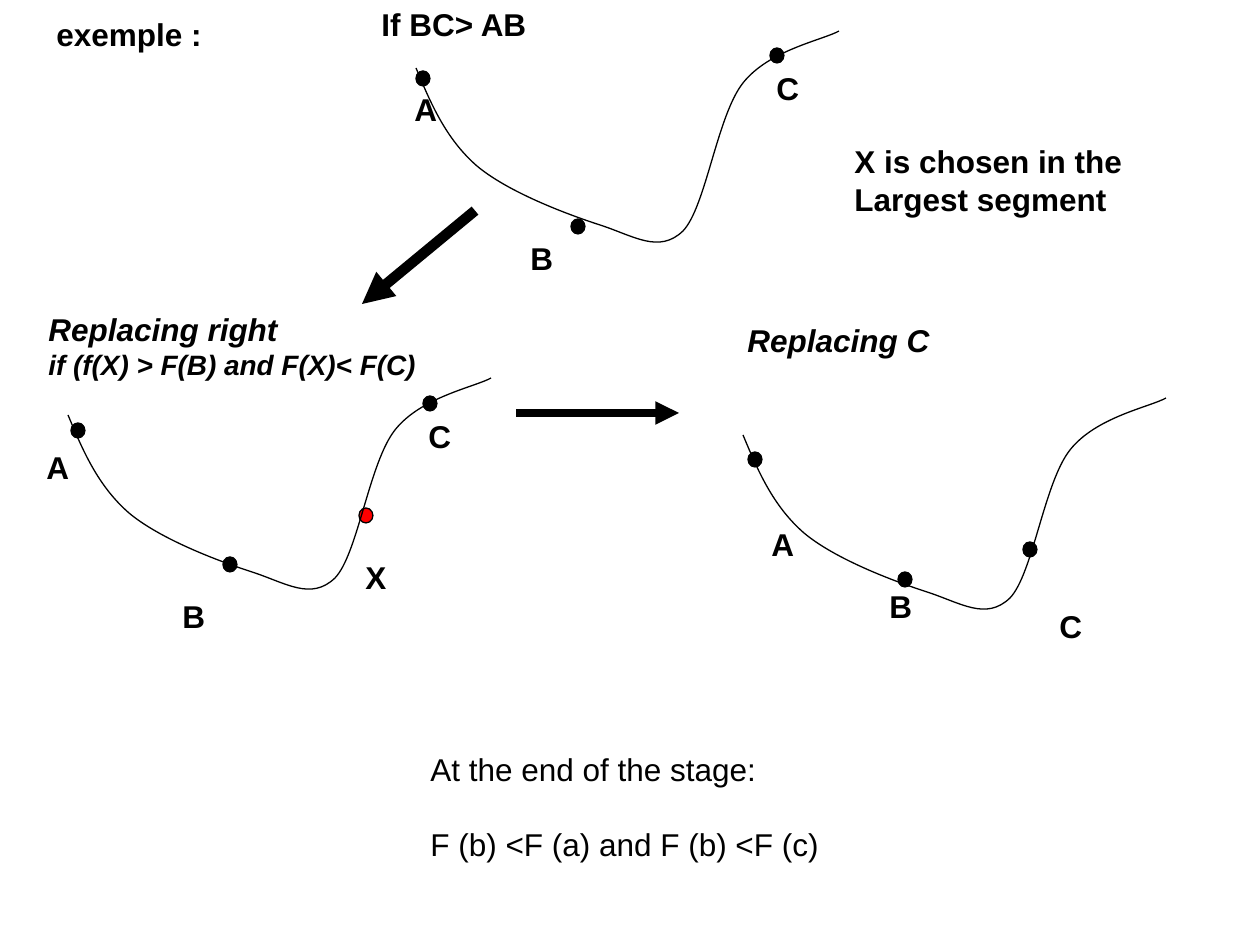
from lxml.etree import SubElement as Sub
from pptx import Presentation
from pptx.dml.color import RGBColor
from pptx.enum.shapes import MSO_CONNECTOR as Link, MSO_SHAPE as Kind
from pptx.enum.text import MSO_AUTO_SIZE as Fit
from pptx.oxml.ns import qn
from pptx.util import Emu, Pt

CURVE = [(0, 37), (15, 73), (30, 108), (61, 135), (92, 161), (150, 183),
         (184, 194), (218, 205), (243, 223), (267, 200), (290, 176),
         (301, 85), (327, 52), (353, 19), (407, 9), (423, 0)]

STAGES = [
    ((416, 31),
     [(416, 71), (571, 219), (770, 48)],
     [("A", 402, 84), ("B", 518, 233), ("C", 764, 63)]),
    ((68, 378),
     [(71, 423), (223, 557), (423, 396)],
     [("A", 34, 442), ("B", 170, 591), ("X", 353, 552), ("C", 416, 411)]),
    ((743, 398),
     [(748, 452), (898, 572), (1023, 542)],
     [("A", 759, 519), ("B", 877, 581), ("C", 1047, 601)]),
]


def px(n):
    """Turn px into EMU."""
    return Emu(round(n * 914400 / 126))


def color(code):
    """Turn a hex string into a colour."""
    return RGBColor.from_string(code)


def text(slide, words, x, y, w, h=51, bold=True, italic=False):
    """Add unwrapped text and return its frame."""
    frame = slide.shapes.add_textbox(px(x), px(y), px(w), px(h)).text_frame
    frame.text = words
    frame.word_wrap = False
    frame.auto_size = Fit.SHAPE_TO_FIT_TEXT
    for para in frame.paragraphs:
        for run in para.runs:
            font = run.font
            font.name, font.size = "Arial", Pt(18)
            font.bold, font.italic = bold, italic
            font.color.rgb = color("000000")
    return frame


def edge(shape):
    """Give a shape a thin black line and no shadow."""
    shape.shadow.inherit = False
    shape.line.color.rgb = color("000000")
    shape.line.width = Pt(0.75)


def dot(slide, x, y, fill="000000"):
    """Add a point marker."""
    shape = slide.shapes.add_shape(Kind.OVAL, px(x), px(y), px(14), px(15))
    shape.fill.solid()
    shape.fill.fore_color.rgb = color(fill)
    edge(shape)


def curve(slide, left, top):
    """Add the function curve as cubic Bezier pieces."""
    start, *rest = [(px(left + x), px(top + y)) for x, y in CURVE]
    pen = slide.shapes.build_freeform(*start)
    pen.add_line_segments(rest, close=False)
    shape = pen.convert_to_shape()
    shape.fill.background()
    edge(shape)
    steps = list(shape.element.iter(qn("a:lnTo")))
    track = steps[0].getparent()
    for i in range(0, len(steps), 3):
        piece = Sub(track, qn("a:cubicBezTo"))
        for step in steps[i:i + 3]:
            piece.append(step[0])
            track.remove(step)


def arrow(slide, x1, y1, x2, y2, width):
    """Add a thick arrow."""
    link = slide.shapes.add_connector(
        Link.STRAIGHT, px(x1), px(y1), px(x2), px(y2))
    link.line.color.rgb = color("000000")
    link.line.width = Pt(width)
    line = link.line._get_or_add_ln()
    line.set("cap", "sq")
    Sub(line, qn("a:tailEnd"), type="triangle")
    Sub(link.element.spPr, qn("a:effectLst"))


def main():
    """Build the slide."""
    deck = Presentation()
    deck.slide_width, deck.slide_height = px(1260), px(945)
    slide = deck.slides.add_slide(deck.slide_layouts[6])

    dot(slide, 359, 508, "FF0000")
    for place, dots, marks in STAGES:
        for spot in dots:
            dot(slide, *spot)
        curve(slide, *place)
        for name, x, y in marks:
            text(slide, name, x, y, 48)

    arrow(slide, 471, 214, 362, 304, 6)
    arrow(slide, 520, 413, 679, 413, 4.5)

    text(slide, "exemple :", 44, 9, 171)
    text(slide, "If BC> AB", 369, -1, 171)
    text(slide, "X is chosen in the\nLargest segment", 842, 136, 296, 89)
    text(slide, "Replacing C", 735, 315, 209, italic=True)
    rule = text(slide, "Replacing right\vif (f(X) > F(B) and F(X)< F(C)",
                36, 304, 398, 86, italic=True)
    rule.paragraphs[0].runs[1].font.size = Pt(16)
    end = text(slide, "At the end of the stage:\nF (b) <F (a) and F (b) <F (c)",
               418, 744, 423, 126, bold=False)
    end.paragraphs[1].space_before = Pt(21)

    deck.save("out.pptx")


if __name__ == "__main__":
    main()
